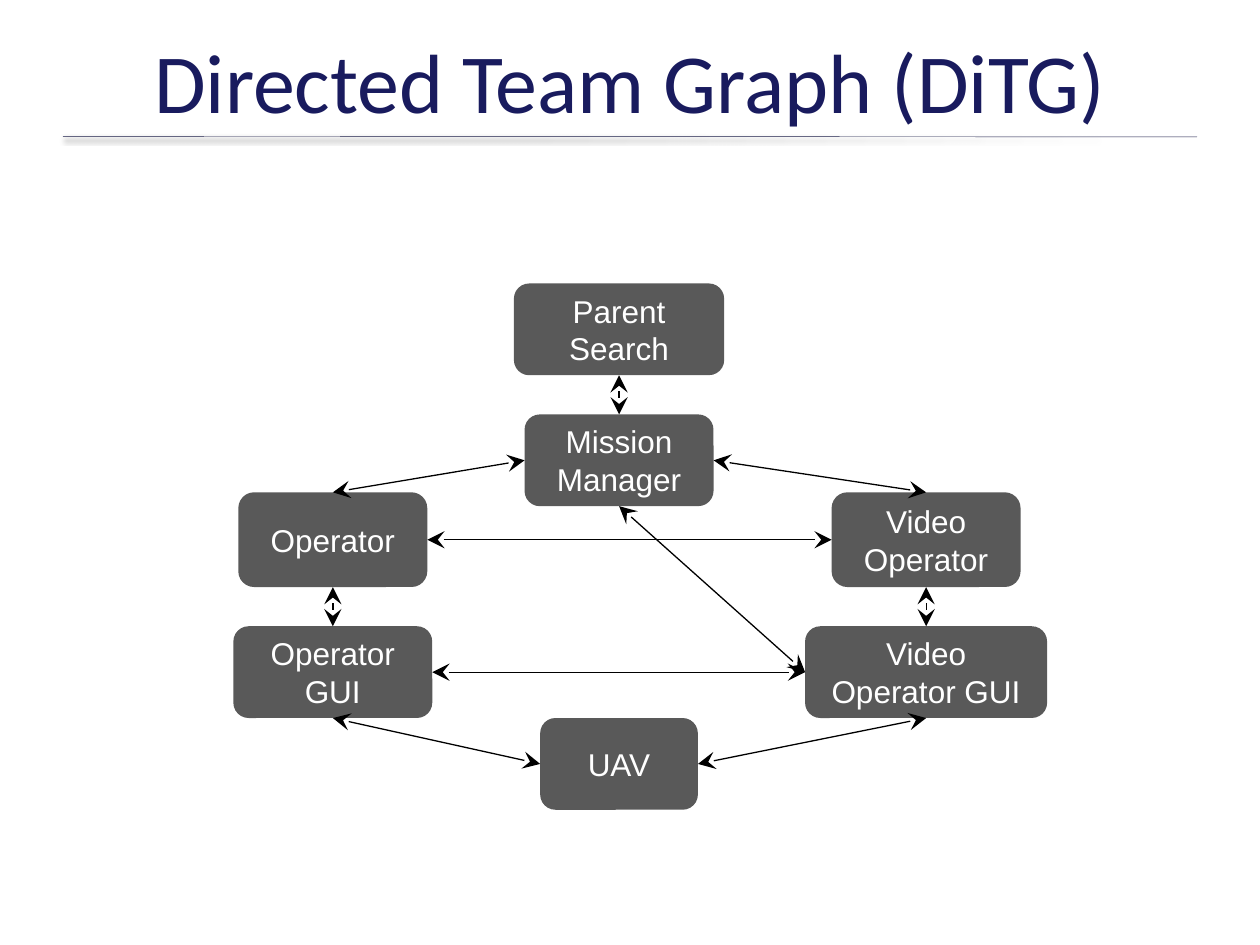
from lxml import etree
from pptx import Presentation
from pptx.dml.color import RGBColor
from pptx.enum.shapes import MSO_CONNECTOR, MSO_SHAPE
from pptx.enum.text import MSO_ANCHOR, PP_ALIGN
from pptx.oxml.ns import qn
from pptx.util import Cm, Pt

STRAIGHT = MSO_CONNECTOR.STRAIGHT
ROUNDED = MSO_SHAPE.ROUNDED_RECTANGLE
MIDDLE, BOTTOM_ANCHOR = MSO_ANCHOR.MIDDLE, MSO_ANCHOR.BOTTOM
CENTER = PP_ALIGN.CENTER
TOP, LEFT, BOTTOM, RIGHT = range(4)  # connection sites of a rectangle

# Centre x, centre y, width, height in cm
NODES = {
    "Parent Search": (12.48, 6.64, 4.24, 1.85),
    "Mission Manager": (12.48, 9.28, 3.81, 1.85),
    "Operator": (6.71, 10.88, 3.81, 1.91),
    "Video Operator": (18.67, 10.88, 3.81, 1.91),
    "Video Operator GUI": (18.67, 13.55, 4.88, 1.85),
    "Operator GUI": (6.71, 13.55, 4.01, 1.85),
    "UAV": (12.48, 15.4, 3.18, 1.85),
}
EDGES = [
    ("Parent Search", BOTTOM, "Mission Manager", TOP),
    ("Mission Manager", LEFT, "Operator", TOP),
    ("Mission Manager", RIGHT, "Video Operator", TOP),
    ("Operator", BOTTOM, "Operator GUI", TOP),
    ("Video Operator", BOTTOM, "Video Operator GUI", TOP),
    ("Operator GUI", BOTTOM, "UAV", LEFT),
    ("Video Operator GUI", BOTTOM, "UAV", RIGHT),
    ("Operator GUI", RIGHT, "Video Operator GUI", LEFT),
    ("Operator", RIGHT, "Video Operator", LEFT),
    ("Mission Manager", BOTTOM, "Video Operator GUI", LEFT),
]


def color(hex_code):
    """Turn a hex string into a colour."""
    return RGBColor.from_string(hex_code)


def write_text(shape, text, font_name, size, hex_code, anchor):
    """Put centred, wrapped text into a shape."""
    frame = shape.text_frame
    frame.text = text
    frame.word_wrap = True
    frame.vertical_anchor = anchor
    paragraph = frame.paragraphs[0]
    paragraph.alignment = CENTER
    font = paragraph.runs[0].font
    font.name = font_name
    font.size = Pt(size)
    font.color.rgb = color(hex_code)


def add_line(slide, start, end, hex_code, width):
    """Add a straight connector without effects."""
    line = slide.shapes.add_connector(STRAIGHT, *map(Cm, start + end))
    line.line.color.rgb = color(hex_code)
    line.line.width = Pt(width)
    etree.SubElement(line._element.spPr, qn("a:effectLst"))
    return line


def add_title(slide, text):
    """Add the title and the shadowed rule below it."""
    rule = add_line(slide, (1.27, 2.75), (24.13, 2.76), "1A1C47", 0.25)
    effects = rule._element.spPr.find(qn("a:effectLst"))
    shadow = etree.SubElement(effects, qn("a:outerShdw"), blurRad="40000",
                              dist="20000", dir="5400000", rotWithShape="0")
    shade = etree.SubElement(shadow, qn("a:srgbClr"), val="000000")
    etree.SubElement(shade, qn("a:alpha"), val="38000")
    title = slide.shapes.add_textbox(Cm(1.27), Cm(0.43), Cm(22.86), Cm(2.33))
    write_text(title, text, "Calibri", 48, "191B5E", BOTTOM_ANCHOR)


def add_node(slide, text, center_x, center_y, width, height):
    """Add a rounded box around a centre point."""
    node = slide.shapes.add_shape(
        ROUNDED, Cm(center_x - width / 2), Cm(center_y - height / 2),
        Cm(width), Cm(height))
    node.shadow.inherit = False
    node.fill.solid()
    node.fill.fore_color.rgb = color("595959")
    node.line.fill.background()
    write_text(node, text, "Arial", 18, "FFFFFF", MIDDLE)
    return node


def add_edge(slide, source, source_site, target, target_site):
    """Join two boxes with a double-headed arrow."""
    edge = add_line(slide, (0, 0), (0, 0), "000000", 0.75)
    edge.begin_connect(source, source_site)
    edge.end_connect(target, target_site)
    outline = edge.line._get_or_add_ln()
    for end in ("a:headEnd", "a:tailEnd"):
        etree.SubElement(outline, qn(end), type="stealth", w="lg", len="lg")


def main():
    """Build the slide and save it."""
    presentation = Presentation()
    presentation.slide_width, presentation.slide_height = Cm(25.4), Cm(19.05)
    slide = presentation.slides.add_slide(presentation.slide_layouts[6])
    add_title(slide, "Directed Team Graph (DiTG)")
    nodes = {name: add_node(slide, name, *box) for name, box in NODES.items()}
    for source, source_site, target, target_site in EDGES:
        add_edge(slide, nodes[source], source_site, nodes[target], target_site)
    presentation.save("out.pptx")


main()
